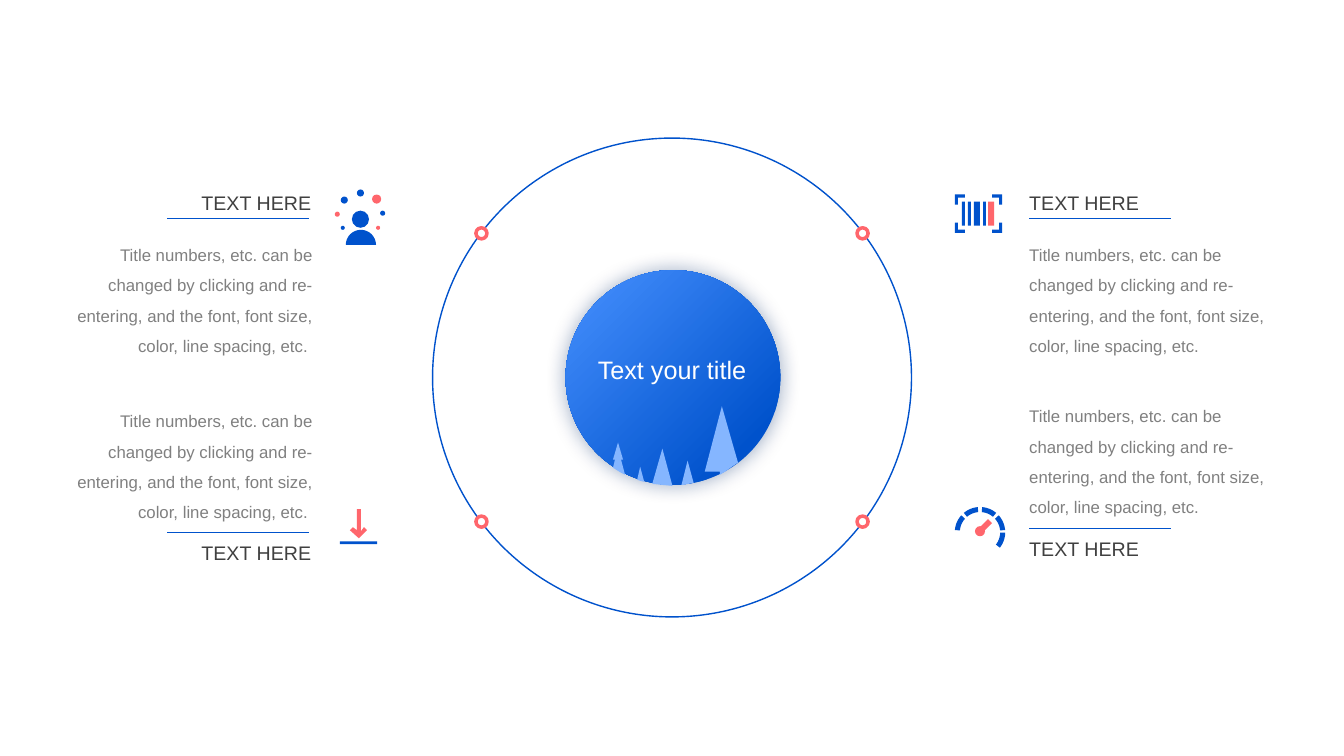
from math import cos, radians, sin

from lxml import etree
from pptx import Presentation
from pptx import util as u
from pptx.dml.color import RGBColor
from pptx.enum import shapes, text
from pptx.oxml.ns import qn

PX = 9144
SLIDE = (1333, 750)
BLUE, CORAL, WHITE = "0052CC", "FF666C", "FFFFFF"
SKY, PINE, SHADE = "4791FF", "85B6FF", "002966"
DARK, GREY = "404040", "808080"

TITLE = "Text your title"
HEADING = "TEXT HERE"
BODY = ("Title numbers, etc. can be changed by clicking and re-entering, "
        "and the font, font size, color, line spacing, etc.")
LEFT = dict(heading_x=190, body_x=64, rule_x=166, align=text.PP_ALIGN.RIGHT, tail=" ")
RIGHT = dict(heading_x=1011, body_x=1011, rule_x=1021, align=text.PP_ALIGN.LEFT, tail="")
NOTES = [
    (LEFT, 184, 217, 228, 91),
    (RIGHT, 184, 217, 228, 91),
    (LEFT, 532, 528, 393, 128),
    (RIGHT, 528, 524, 388, 128),
]

SPHERE = (561, 268, 213, 213)
ORBIT = (429, 137, 475, 475)
MARKERS = [(x, y, 11, 11) for y in (226, 512) for x in (472, 850)]
TREES = [
    [(635, 463), (639, 478), (635, 477), (632, 476)],
    [(682, 457), (688, 479), (678, 481), (676, 481)],
    [(657, 445), (667, 482), (656, 481), (647, 480)],
    [(613, 439), (618, 456), (616, 456), (620, 471), (616, 469), (608, 464),
     (610, 456), (608, 456)],
    [(716, 403), (732, 459), (726, 463), (719, 468), (714, 471), (714, 468), (699, 468)],
]

SCANNER = (947, 193, 994, 231)
BARS = [(954, 3, BLUE), (960, 3, BLUE), (966, 6, BLUE), (975, 3, BLUE), (980, 6, CORAL)]
PERSON_DOTS = [
    (354, 188, 7, BLUE), (369, 193, 9, CORAL), (338, 195, 7, BLUE), (349, 209, 17, BLUE),
    (377, 209, 5, BLUE), (332, 210, 5, CORAL), (338, 224, 4, BLUE), (373, 224, 4, CORAL),
]
SHOULDERS = (358, 243, 15)
GAUGE = (972, 528)
GAUGE_ARCS = [(95, 130), (138, 175), (50, 85), (5, 42), (-38, -1)]
NEEDLE = [(971, 524), (980, 515), (984, 519), (975, 528)]
ARROW = [(354, 505), (358, 505), (358, 527), (361, 523), (364, 526), (356, 534),
         (347, 526), (350, 523), (354, 526)]
TRAY = (337, 537, 37, 3)


def rgb(value):
    return RGBColor.from_string(value)


def emu(*lengths):
    return [round(length * PX) for length in lengths]


def paint(part, fill=None, line=None, weight=1):
    part.shadow.inherit = False
    if fill:
        part.fill.solid()
        part.fill.fore_color.rgb = rgb(fill)
    else:
        part.fill.background()
    if line:
        part.line.color.rgb = rgb(line)
        part.line.width = u.Pt(weight)
    else:
        part.line.fill.background()
    return part


def preset(parent, kind, box, **style):
    return paint(parent.add_shape(kind, *emu(*box)), **style)


def ellipse(parent, box, **style):
    return preset(parent, shapes.MSO_SHAPE.OVAL, box, **style)


def outline(parent, contours, fill):
    builder = None
    for contour in contours:
        start, *rest = [emu(*point) for point in contour]
        if builder:
            builder.move_to(*start)
        else:
            builder = parent.build_freeform(*start)
        builder.add_line_segments(rest, close=True)
    return paint(builder.convert_to_shape(), fill)


def arc(center, radius, start, end, steps=16):
    angles = [radians(start + (end - start) * i / steps) for i in range(steps + 1)]
    return [(center[0] + radius * cos(a), center[1] - radius * sin(a)) for a in angles]


def write(box, words, size, color, align, wrap=False, spacing=None):
    frame = canvas.add_textbox(*emu(*box)).text_frame
    frame.word_wrap = wrap
    frame.auto_size = text.MSO_AUTO_SIZE.SHAPE_TO_FIT_TEXT
    paragraph = frame.paragraphs[0]
    paragraph.alignment = align
    if spacing:
        paragraph.line_spacing = spacing
    run = paragraph.add_run()
    run.text = words
    run.font.name = "Arial"
    run.font.size = u.Pt(size)
    run.font.color.rgb = rgb(color)


def rule(x, y, width=140):
    line = canvas.add_connector(shapes.MSO_CONNECTOR.STRAIGHT, *emu(x, y, x + width, y))
    line.line.color.rgb = rgb(BLUE)
    line.line.width = u.Pt(0.5)
    etree.SubElement(line._element.spPr, qn("a:effectLst"))


def draw_sphere():
    sphere = ellipse(canvas, SPHERE)
    sphere.fill.gradient()
    for stop, color, position in zip(sphere.fill.gradient_stops, (SKY, BLUE), (0, 0.84)):
        stop.color.rgb = rgb(color)
        stop.position = position
    properties = sphere._element.spPr
    gradient = properties.find(qn("a:gradFill"))
    gradient.remove(gradient.find(qn("a:lin")))
    radial = etree.SubElement(gradient, qn("a:path"))
    radial.set("path", "circle")
    etree.SubElement(radial, qn("a:fillToRect"), r="100000", b="100000")
    glow = etree.SubElement(properties.find(qn("a:effectLst")), qn("a:outerShdw"),
                            blurRad=str(u.Pt(15)), dist="0", dir="0", algn="ctr",
                            rotWithShape="0")
    tint = etree.SubElement(glow, qn("a:srgbClr"), val=SHADE)
    etree.SubElement(tint, qn("a:alpha"), val="40000")


def draw_scanner():
    icon = canvas.add_group_shape().shapes
    left, top, right, bottom = SCANNER
    corner = [(0, 0), (0, 10), (3, 10), (3, 3), (10, 3), (10, 0)]
    for y, down in ((top, 1), (bottom, -1)):
        for x, across in ((left, 1), (right, -1)):
            outline(icon, [[(x + across * dx, y + down * dy) for dx, dy in corner]], BLUE)
    for x, width, color in BARS:
        preset(icon, shapes.MSO_SHAPE.RECTANGLE, (x, 200, width, 24), fill=color)


def draw_person():
    icon = canvas.add_group_shape().shapes
    for x, y, size, color in PERSON_DOTS:
        ellipse(icon, (x, y, size, size), fill=color)
    x, y, radius = SHOULDERS
    outline(icon, [arc((x, y), radius, 0, 180)], BLUE)


def draw_gauge():
    icon = canvas.add_group_shape().shapes
    for start, end in GAUGE_ARCS:
        outline(icon, [arc(GAUGE, 25, start, end) + arc(GAUGE, 20, end, start)], BLUE)
    outline(icon, [NEEDLE], CORAL)
    ellipse(icon, (967, 522, 10, 10), fill=CORAL)


def draw_download():
    icon = canvas.add_group_shape().shapes
    outline(icon, [ARROW], CORAL)
    preset(icon, shapes.MSO_SHAPE.RECTANGLE, TRAY, fill=BLUE)


deck = Presentation()
deck.slide_width, deck.slide_height = emu(*SLIDE)
canvas = deck.slides.add_slide(deck.slide_layouts[6]).shapes

draw_sphere()
ellipse(canvas, ORBIT, line=BLUE)
outline(canvas, TREES, PINE)
write((582, 347, 169, 40), TITLE, 18, WHITE, text.PP_ALIGN.CENTER)

for side, heading_y, rule_y, body_y, body_height in NOTES:
    write((side["heading_x"], heading_y, 130, 34), HEADING, 14, DARK, text.PP_ALIGN.LEFT)
    rule(side["rule_x"], rule_y)
    write((side["body_x"], body_y, 256, body_height), BODY + side["tail"], 12, GREY,
          side["align"], wrap=True, spacing=1.5)

draw_scanner()
draw_person()
draw_gauge()
draw_download()
for marker in MARKERS:
    ellipse(canvas, marker, fill=WHITE, line=CORAL, weight=2.5)

deck.save("out.pptx")
